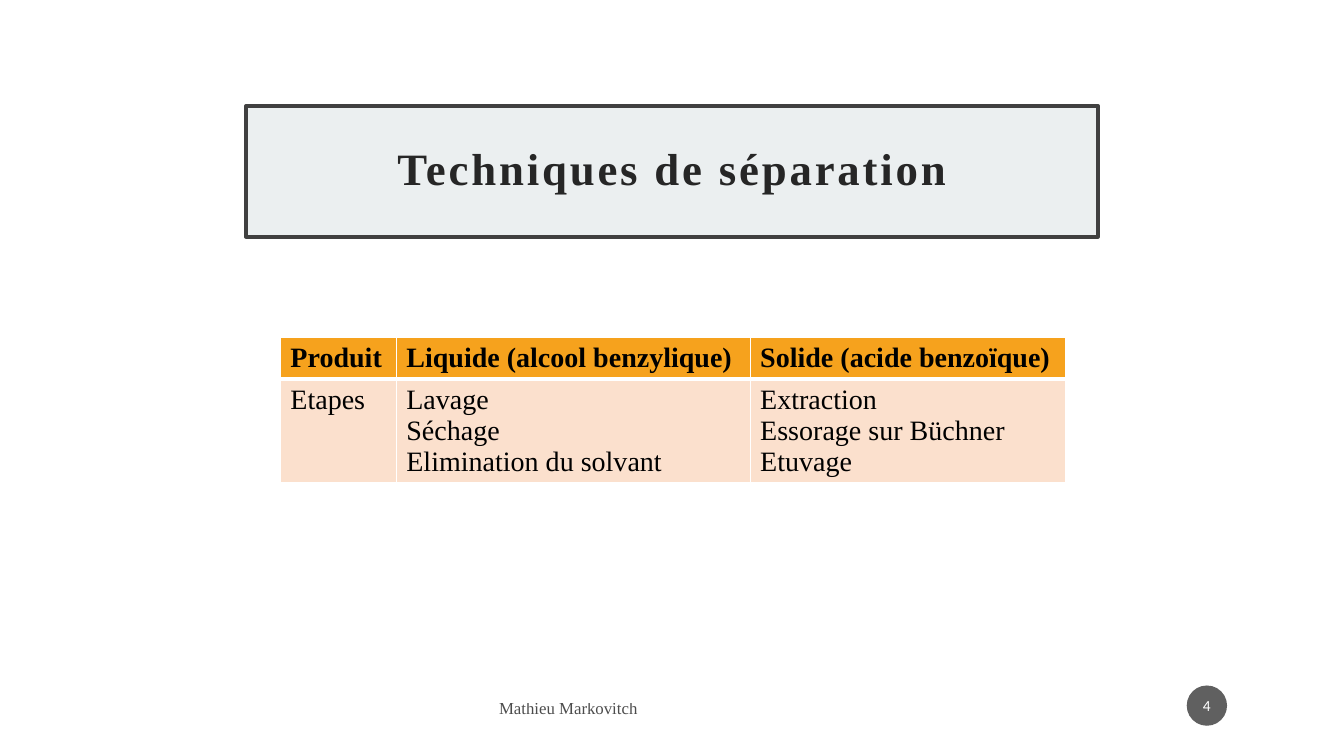
from dataclasses import dataclass

from lxml import etree
from pptx import Presentation
from pptx.dml.color import RGBColor
from pptx.enum.shapes import MSO_SHAPE
from pptx.enum.text import MSO_ANCHOR, PP_ALIGN
from pptx.oxml.ns import qn
from pptx.util import Inches, Pt

RECTANGLE, OVAL = MSO_SHAPE.RECTANGLE, MSO_SHAPE.OVAL
MIDDLE = MSO_ANCHOR.MIDDLE
LEFT, CENTER, JUSTIFY = PP_ALIGN.LEFT, PP_ALIGN.CENTER, PP_ALIGN.JUSTIFY


@dataclass(frozen=True)
class Theme:
    serif: str = "Times New Roman"
    sans: str = "Calibri"
    white: str = "FFFFFF"
    black: str = "000000"
    title_fill: str = "EBEFF0"
    title_line: str = "404040"
    title_text: str = "262626"
    header_fill: str = "F6A21D"
    body_fill: str = "FBE0CD"
    badge_fill: str = "1D1D1D"
    title_size: int = 32
    table_size: int = 20
    footer_size: int = 12
    badge_size: int = 11
    opacity: int = 70


class SlideBuilder:
    """Draws styled elements on one slide, with lengths in percent of its size."""

    def __init__(self, deck, theme):
        self.deck = deck
        self.theme = theme
        self.page = deck.slides.add_slide(deck.slide_layouts[6])

    def across(self, share):
        return round(self.deck.slide_width * share / 100)

    def down(self, share):
        return round(self.deck.slide_height * share / 100)

    def area(self, left, top, width, height):
        return self.across(left), self.down(top), self.across(width), self.down(height)

    def fade(self, fill):
        color = fill._xPr.find(qn("a:solidFill"))[0]
        etree.SubElement(color, qn("a:alpha"), val=str(self.theme.opacity * 1000))

    def paint(self, fill, color, faded=False):
        fill.solid()
        fill.fore_color.rgb = RGBColor.from_string(color)
        if faded:
            self.fade(fill)

    def set_text(self, frame, text, color, align=LEFT, faded=False, tracking=0,
                 spacing=None, **font):
        frame.word_wrap = True
        frame.text = text
        for para in frame.paragraphs:
            para.alignment = align
            para.line_spacing = spacing
            for span in para.runs:
                for name, value in font.items():
                    setattr(span.font, name, value)
                self.paint(span.font.fill, color, faded)
                if tracking:
                    span._r.get_or_add_rPr().set("spc", str(tracking * 100))

    def inset(self, frame, side, end):
        margins = {"margin_left": side, "margin_right": side,
                   "margin_top": end, "margin_bottom": end}
        for name, share in margins.items():
            setattr(frame, name, self.across(share))
        frame.vertical_anchor = MIDDLE

    def panel(self, kind, area, fill, faded=False):
        box = self.page.shapes.add_shape(kind, *self.area(*area))
        box.shadow.inherit = False
        self.paint(box.fill, fill, faded)
        box.line.fill.background()
        return box

    def title(self, text, area):
        theme = self.theme
        box = self.panel(RECTANGLE, area, theme.title_fill)
        self.paint(box.line.fill, theme.title_line)
        box.line.width = Pt(2.5)
        self.inset(box.text_frame, 1.5, 1.5)
        self.set_text(box.text_frame, text, theme.title_text, CENTER, tracking=2, spacing=0.9,
                      name=theme.serif, size=Pt(theme.title_size), bold=True)

    def footer(self, text, area):
        theme = self.theme
        box = self.page.shapes.add_textbox(*self.area(*area))
        box.text_frame.vertical_anchor = MIDDLE
        self.set_text(box.text_frame, text, theme.black, faded=True,
                      name=theme.serif, size=Pt(theme.footer_size))

    def badge(self, text, area):
        theme = self.theme
        box = self.panel(OVAL, area, theme.badge_fill, faded=True)
        self.inset(box.text_frame, 0.15, 0.38)
        self.set_text(box.text_frame, text, theme.white, CENTER,
                      name=theme.sans, size=Pt(theme.badge_size))

    def border(self, cell, widths):
        properties = cell._tc.get_or_add_tcPr()
        for side, width in widths.items():
            line = etree.SubElement(properties, qn(f"a:ln{side}"), w=str(Pt(width)))
            fill = etree.SubElement(line, qn("a:solidFill"))
            etree.SubElement(fill, qn("a:srgbClr"), val=self.theme.white)

    def table(self, rows, left, top, widths, heights):
        theme = self.theme
        area = self.area(left, top, sum(widths), sum(heights))
        grid = self.page.shapes.add_table(len(rows), len(widths), *area).table
        for column, width in zip(grid.columns, widths):
            column.width = self.across(width)
        for row, height in zip(grid.rows, heights):
            row.height = self.down(height)
        for r, texts in enumerate(rows):
            header = r == 0
            edges = {"L": 1, "R": 1, "T": 1 if header else 3, "B": 3 if header else 1}
            for c, text in enumerate(texts):
                cell = grid.cell(r, c)
                self.border(cell, edges)
                self.paint(cell.fill, theme.header_fill if header else theme.body_fill)
                self.set_text(cell.text_frame, text, theme.black, JUSTIFY,
                              name=theme.serif, size=Pt(theme.table_size), bold=header)


def main():
    deck = Presentation()
    deck.slide_width, deck.slide_height = Inches(13.33), Inches(7.5)
    slide = SlideBuilder(deck, Theme())
    slide.title("Techniques de séparation", (18.3, 14, 63.4, 17.33))
    slide.table(
        [("Produit", "Liquide (alcool benzylique)", "Solide (acide benzoïque)"),
         ("Etapes", "Lavage\nSéchage\nElimination du solvant",
          "Extraction\nEssorage sur Büchner\nEtuvage")],
        20.86, 44.67, widths=(8.63, 26.33, 23.45), heights=(5.47, 13.6))
    slide.footer("Mathieu Markovitch", (36.4, 91.33, 12.9, 4.67))
    slide.badge("4", (88.3, 90.67, 3, 5.33))
    deck.save("out.pptx")


if __name__ == "__main__":
    main()
